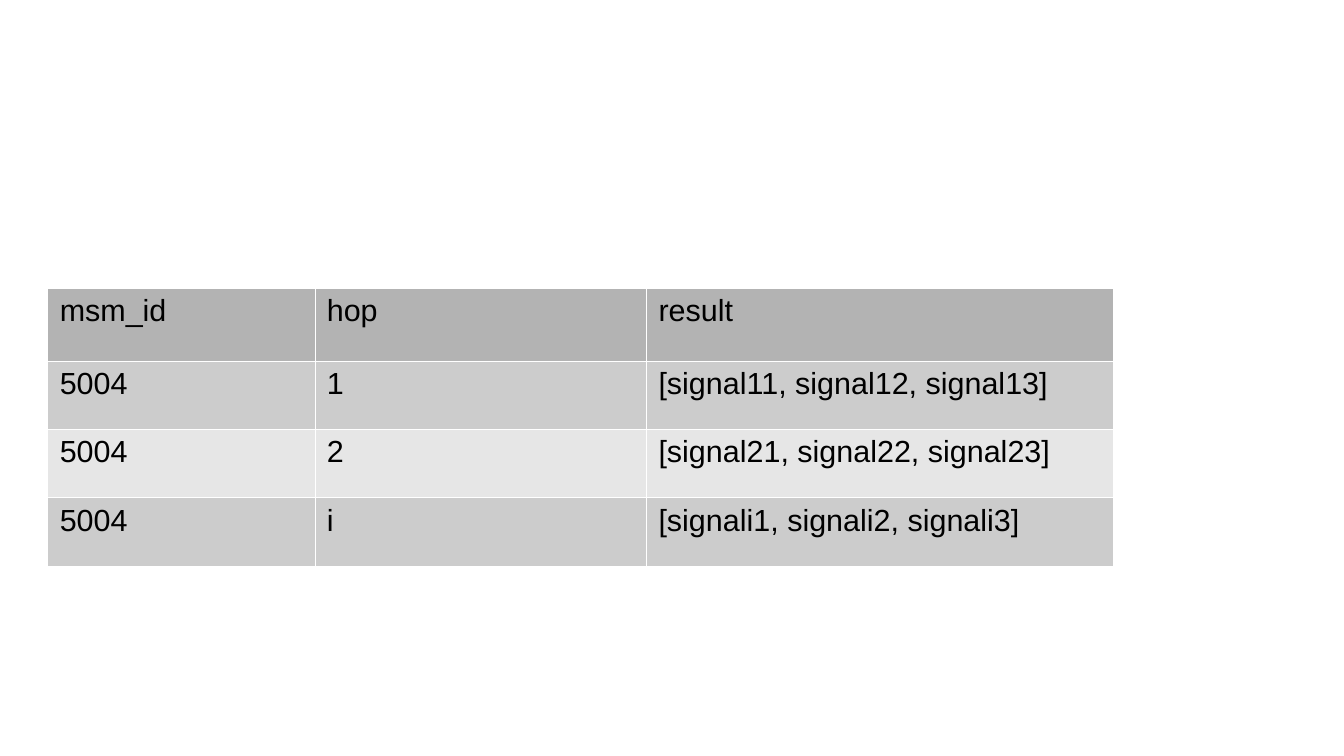
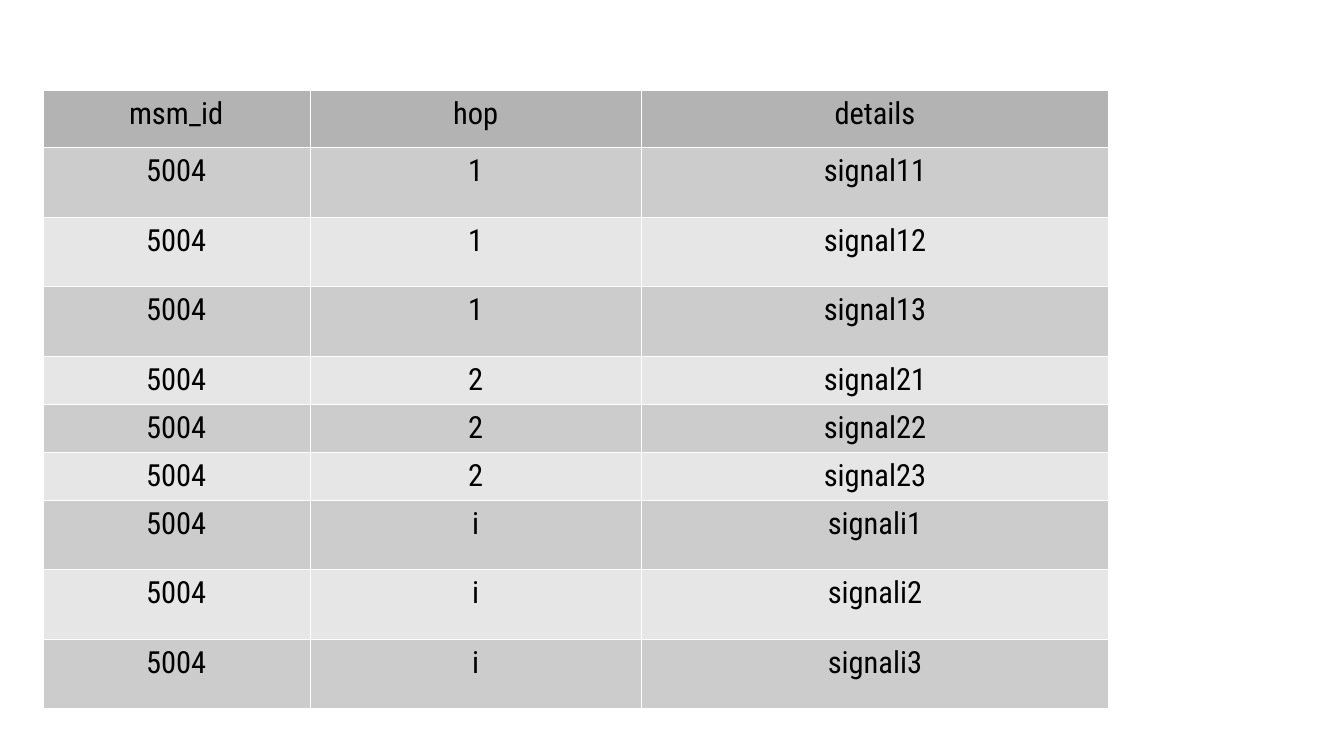
from dataclasses import dataclass

from lxml import etree
from pptx import Presentation
from pptx.dml.color import RGBColor
from pptx.enum import text as t
from pptx.oxml import ns
from pptx.util import Inches, Pt

# Shared look
COLORS = {"header": "B3B3B3", "odd": "CCCCCC", "even": "E6E6E6",
          "border": "FFFFFF", "text": "000000"}
COLUMN_WIDTHS = (2.19, 2.72, 3.83)
BORDER_WIDTH = Pt(0.06)
MEASUREMENT = "5004"
HOPS = ("1", "2", "i")
SIGNALS = (1, 2, 3)


@dataclass
class HopTable:
    left: float
    top: float
    row_heights: list[float]
    rows: list[tuple[str, str, str]]
    font: str
    align: t.PP_ALIGN


def write_text(tf, text: str, *, font: str, align: t.PP_ALIGN,
               size: float = 18, color: str = "text") -> None:
    p = tf.paragraphs[0]
    p.alignment = align
    r = p.add_run()
    r.text = text
    r.font.name = font
    r.font.size = Pt(size)
    r.font.color.rgb = RGBColor.from_string(COLORS[color])


def add_borders(cell) -> None:
    tc_pr = cell._tc.get_or_add_tcPr()
    for side in ("lnL", "lnR", "lnT", "lnB"):
        ln = etree.SubElement(tc_pr, ns.qn(f"a:{side}"), w=str(BORDER_WIDTH))
        fill = etree.SubElement(ln, ns.qn("a:solidFill"))
        etree.SubElement(fill, ns.qn("a:srgbClr"), val=COLORS["border"])


def row_color(index: int) -> str:
    if index == 0:
        return COLORS["header"]
    return COLORS["odd" if index % 2 else "even"]


def add_hop_table(prs, spec: HopTable) -> None:
    s = prs.slides.add_slide(prs.slide_layouts[6])
    table = s.shapes.add_table(
        len(spec.rows), len(COLUMN_WIDTHS), Inches(spec.left), Inches(spec.top),
        Inches(sum(COLUMN_WIDTHS)), Inches(sum(spec.row_heights))).table
    table.first_row = table.horz_banding = False
    for column, width in zip(table.columns, COLUMN_WIDTHS):
        column.width = Inches(width)
    for i, (row, height, values) in enumerate(
            zip(table.rows, spec.row_heights, spec.rows)):
        row.height = Inches(height)
        for cell, value in zip(row.cells, values):
            add_borders(cell)
            cell.fill.solid()
            cell.fill.fore_color.rgb = RGBColor.from_string(row_color(i))
            write_text(cell.text_frame, value, font=spec.font, align=spec.align)


def main() -> None:
    prs = Presentation()
    prs.slide_width, prs.slide_height = Inches(11.02), Inches(6.2)

    # One row per hop, signals as a list
    grouped = [(MEASUREMENT, hop,
                "[" + ", ".join(f"signal{hop}{n}" for n in SIGNALS) + "]")
               for hop in HOPS]
    add_hop_table(prs, HopTable(
        0.39, 2.36, [0.6] + [0.56] * 3, [("msm_id", "hop", "result")] + grouped,
        "Arial", t.PP_ALIGN.LEFT))

    # One row per signal
    single = [(MEASUREMENT, hop, f"signal{hop}{n}")
              for hop in HOPS for n in SIGNALS]
    heights = [0.47] + [0.57] * 3 + [0.35] * 3 + [0.57] * 3
    add_hop_table(prs, HopTable(
        0.35, 0.74, heights, [("msm_id", "hop", "details")] + single,
        "Roboto Condensed", t.PP_ALIGN.CENTER))

    prs.save("out.pptx")


if __name__ == "__main__":
    main()
